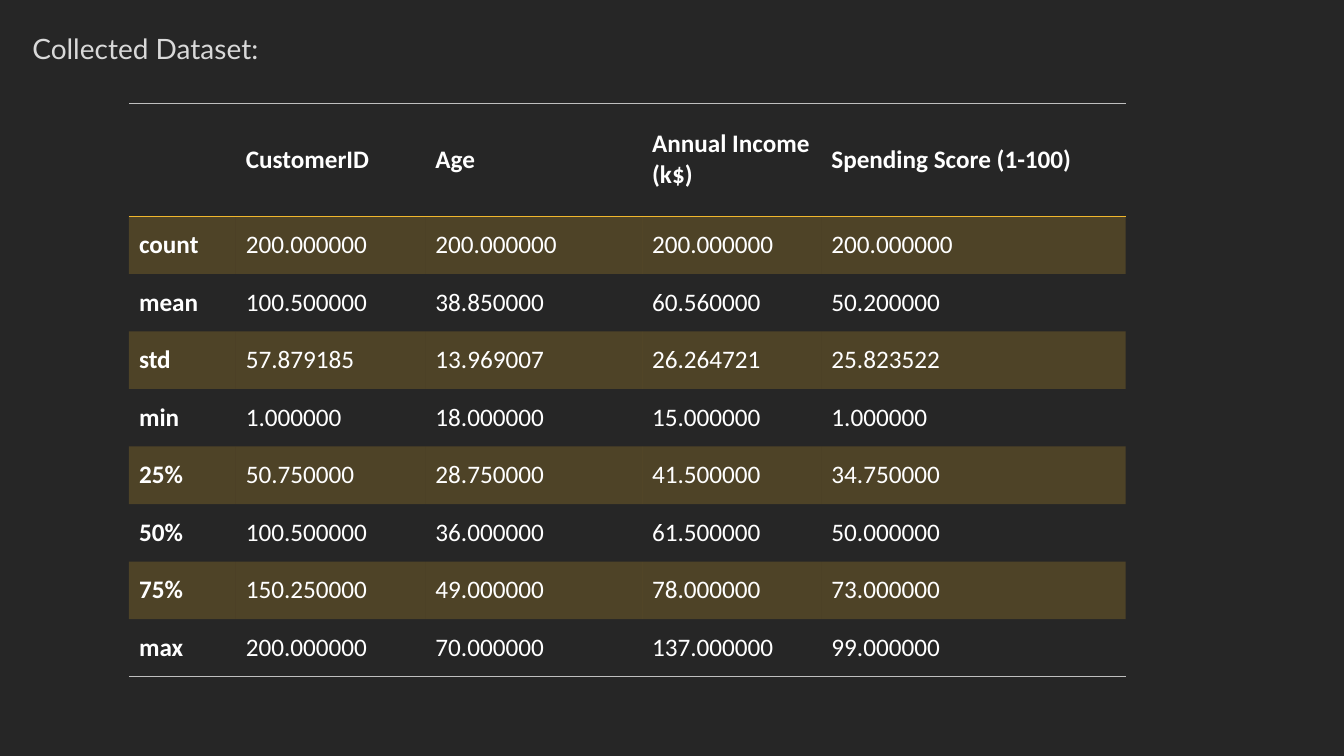
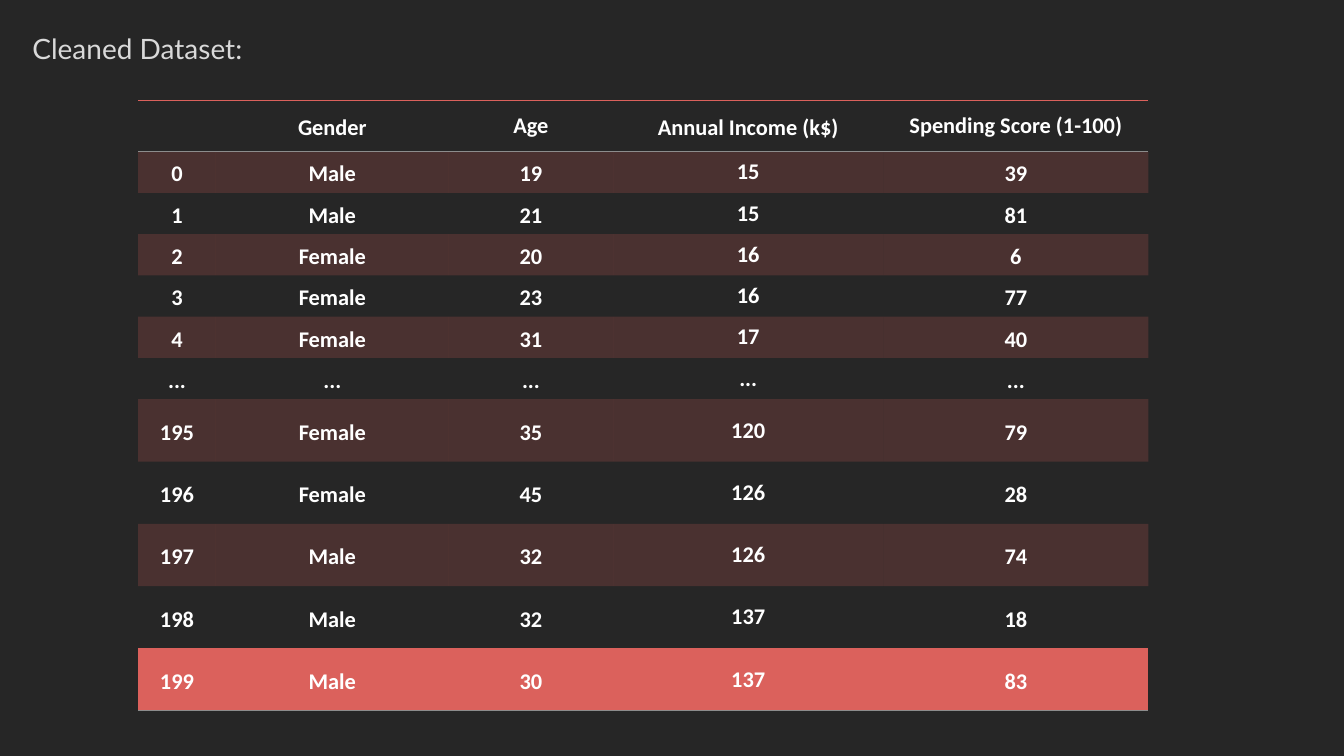
from lxml import etree
from pptx import Presentation
from pptx.dml.color import RGBColor
from pptx.enum import text
from pptx.oxml import ns
from pptx.util import Cm, Pt

DARK = RGBColor(0x26, 0x26, 0x26)
LIGHT = RGBColor(0xD9, 0xD9, 0xD9)
WHITE = RGBColor(0xFF, 0xFF, 0xFF)
SILVER = RGBColor(0xBF, 0xBF, 0xBF)
GREY = RGBColor(0x8C, 0x8C, 0x8C)
GOLD = RGBColor(0xF1, 0xB7, 0x2D)
RED = RGBColor(0xDB, 0x61, 0x5C)

TITLE_FONT = "Lato"
TABLE_FONT = "Calibri"
PLAIN_STYLE = "{2D5ABB26-0587-4C30-8999-92F81FD0307C}"
BAND_ALPHA = "20000"

STATISTICS = [
    ["", "CustomerID", "Age", "Annual Income (k$)", "Spending Score (1-100)"],
    ["count", "200.000000", "200.000000", "200.000000", "200.000000"],
    ["mean", "100.500000", "38.850000", "60.560000", "50.200000"],
    ["std", "57.879185", "13.969007", "26.264721", "25.823522"],
    ["min", "1.000000", "18.000000", "15.000000", "1.000000"],
    ["25%", "50.750000", "28.750000", "41.500000", "34.750000"],
    ["50%", "100.500000", "36.000000", "61.500000", "50.000000"],
    ["75%", "150.250000", "49.000000", "78.000000", "73.000000"],
    ["max", "200.000000", "70.000000", "137.000000", "99.000000"],
]

CUSTOMERS = [
    ["", "Gender", "Age", "Annual Income (k$)", "Spending Score (1-100)"],
    ["0", "Male", "19", "15", "39"],
    ["1", "Male", "21", "15", "81"],
    ["2", "Female", "20", "16", "6"],
    ["3", "Female", "23", "16", "77"],
    ["4", "Female", "31", "17", "40"],
    ["...", "...", "...", "...", "..."],
    ["195", "Female", "35", "120", "79"],
    ["196", "Female", "45", "126", "28"],
    ["197", "Male", "32", "126", "74"],
    ["198", "Male", "32", "137", "18"],
    ["199", "Male", "30", "137", "83"],
]


def add_run(p, value, font, size, color, bold=False):
    r = p.add_run()
    r.text = value
    r.font.name = font
    r.font.size = Pt(size)
    r.font.color.rgb = color
    r.font.bold = bold


def add_titled_slide(prs, title):
    s = prs.slides.add_slide(prs.slide_layouts[5])
    sp = s.shapes.title
    sp.left, sp.top, sp.width, sp.height = Cm(0.56), Cm(0.66), Cm(16.94), Cm(1.12)
    tf = sp.text_frame
    tf.vertical_anchor = text.MSO_ANCHOR.TOP
    tf.auto_size = text.MSO_AUTO_SIZE.SHAPE_TO_FIT_TEXT
    p = tf.paragraphs[0]
    p.alignment = text.PP_ALIGN.LEFT
    add_run(p, title, TITLE_FONT, 20, LIGHT)
    return s


def add_plain_table(s, data, left, top, widths, heights):
    frame = s.shapes.add_table(len(data), len(widths), Cm(left), Cm(top),
                               Cm(sum(widths)), Cm(sum(heights)))
    table = frame.table
    table.horz_banding = False
    table._tbl.tblPr.find(ns.qn("a:tableStyleId")).text = PLAIN_STYLE
    for column, width in zip(table.columns, widths):
        column.width = Cm(width)
    for row, height in zip(table.rows, heights):
        row.height = Cm(height)
    return table


def set_border(cell, side, color):
    ln = etree.SubElement(cell._tc.get_or_add_tcPr(), ns.qn(f"a:{side}"), w=str(Pt(1)))
    fill = etree.SubElement(ln, ns.qn("a:solidFill"))
    etree.SubElement(fill, ns.qn("a:srgbClr"), val=str(color))


def tint_cell(cell, color):
    cell.fill.solid()
    cell.fill.fore_color.rgb = color
    srgb = cell._tc.tcPr.find(".//" + ns.qn("a:srgbClr"))
    etree.SubElement(srgb, ns.qn("a:alpha"), val=BAND_ALPHA)


def style_rows(table, band, top_line, header_line, bottom_line):
    last = len(table.rows) - 1
    for i, row in enumerate(table.rows):
        for cell in row.cells:
            if i == 0:
                set_border(cell, "lnT", top_line)
                set_border(cell, "lnB", header_line)
            elif i == last:
                set_border(cell, "lnB", bottom_line)
            if i % 2:
                tint_cell(cell, band)
            else:
                cell.fill.background()


def write_cell(cell, value, size, bold):
    cell.vertical_anchor = text.MSO_ANCHOR.MIDDLE
    p = cell.text_frame.paragraphs[0]
    if value:
        add_run(p, value, TABLE_FONT, size, WHITE, bold)
    return p


def add_statistics(s):
    table = add_plain_table(s, STATISTICS, 3.25, 2.6,
                            [2.69, 4.78, 5.46, 4.52, 7.67], [2.85] + [1.45] * 8)
    style_rows(table, GOLD, SILVER, GOLD, SILVER)
    for i, values in enumerate(STATISTICS):
        for j, value in enumerate(values):
            write_cell(table.cell(i, j), value, 18, i == 0 or j == 0)


def add_customers(s):
    table = add_plain_table(s, CUSTOMERS, 3.48, 2.54, [1.96, 5.87, 4.14, 6.81, 6.68],
                            [1.28] + [1.04] * 6 + [1.57] * 5)
    style_rows(table, RED, RED, GREY, GREY)
    for i, values in enumerate(CUSTOMERS):
        single_spaced = (3,) if i else (2, 4)
        for j, value in enumerate(values):
            cell = table.cell(i, j)
            cell.margin_left = cell.margin_right = cell.margin_top = cell.margin_bottom = 0
            p = write_cell(cell, value, 16, True)
            p.alignment = text.PP_ALIGN.CENTER
            if j not in single_spaced:
                p.line_spacing = 1.15


def main():
    prs = Presentation()
    prs.slide_width, prs.slide_height = Cm(33.87), Cm(19.05)
    background = prs.slide_master.background.fill
    background.solid()
    background.fore_color.rgb = DARK
    add_statistics(add_titled_slide(prs, "Collected Dataset:"))
    add_customers(add_titled_slide(prs, "Cleaned Dataset:"))
    prs.save("out.pptx")


if __name__ == "__main__":
    main()
